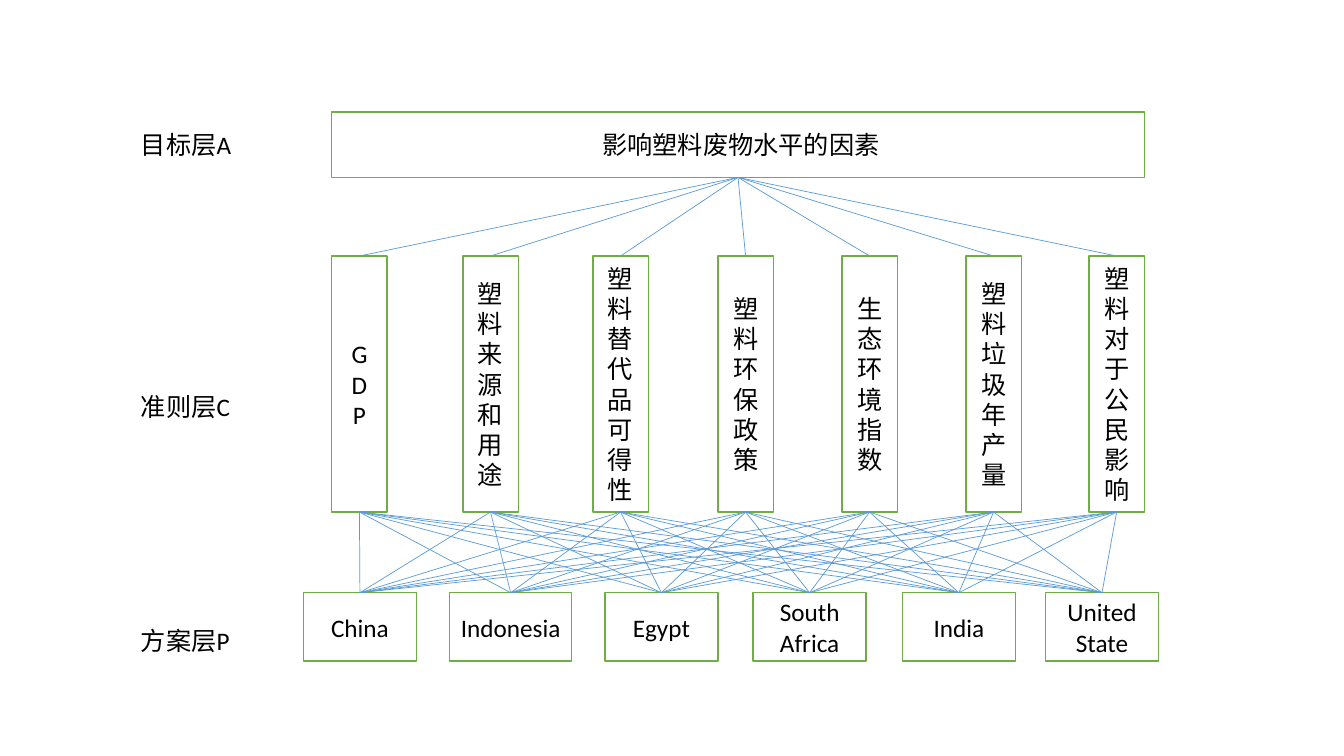
"""Build a three-layer hierarchy slide on the factors behind plastic waste."""
import pptx
import pptx.util
import pptx.dml.color
import pptx.enum.shapes
import pptx.enum.text
from lxml import etree
from pptx.oxml.ns import qn

Inches = pptx.util.Inches
Pt = pptx.util.Pt
RGBColor = pptx.dml.color.RGBColor

GREEN = RGBColor(0x70, 0xAD, 0x47)
BLUE = RGBColor(0x5B, 0x9B, 0xD5)
WHITE = RGBColor(0xFF, 0xFF, 0xFF)
BLACK = RGBColor(0x00, 0x00, 0x00)
FONT = "Calibri"
BOTTOM, TOP = 2, 0

GOAL = " 影响塑料废物水平的因素"
CRITERIA = [
    (3.29, ["G", "D", "P"]),
    (4.59, ["塑料来源和用途"]),
    (5.88, ["塑料替代品可得性"]),
    (7.12, ["塑料环保政策"]),
    (8.35, ["生态环境指数"]),
    (9.58, ["塑料垃圾年产量"]),
    (10.8, ["塑料对于公民影响"]),
]
COUNTRIES = [
    (3.01, 1.12, "China"),
    (4.46, 1.21, "Indonesia"),
    (6.0, 1.12, "Egypt"),
    (7.47, 1.12, "South Africa"),
    (8.95, 1.12, "India"),
    (10.37, 1.12, "United State"),
]
LAYER_LABELS = [
    (1.23, 1.15, "目标层A"),
    (3.83, 1.39, "准则层C"),
    (6.15, 1.86, "方案层P"),
]


def write(frame, lines, align):
    frame.word_wrap = True
    for index, line in enumerate(lines):
        paragraph = frame.paragraphs[0] if index == 0 else frame.add_paragraph()
        paragraph.alignment = align
        run = paragraph.add_run()
        run.text = line
        run.font.size = Pt(18)
        run.font.name = FONT
        run.font.color.rgb = BLACK


def add_box(slide, left, top, width, height, lines):
    box = slide.shapes.add_shape(
        pptx.enum.shapes.MSO_SHAPE.RECTANGLE,
        Inches(left), Inches(top), Inches(width), Inches(height))
    box.shadow.inherit = False
    box.fill.solid()
    box.fill.fore_color.rgb = WHITE
    box.line.color.rgb = GREEN
    box.line.width = Pt(1)
    box.text_frame.vertical_anchor = pptx.enum.text.MSO_ANCHOR.MIDDLE
    write(box.text_frame, lines, pptx.enum.text.PP_ALIGN.CENTER)
    return box


def link(slide, upper, lower):
    line = slide.shapes.add_connector(
        pptx.enum.shapes.MSO_CONNECTOR.STRAIGHT, 0, 0, 0, 0)
    line.begin_connect(upper, BOTTOM)
    line.end_connect(lower, TOP)
    line.line.color.rgb = BLUE
    line.line.width = Pt(0.5)
    etree.SubElement(line.element.spPr, qn("a:effectLst"))


def main():
    deck = pptx.Presentation()
    deck.slide_width = Inches(13.33)
    deck.slide_height = Inches(7.5)
    slide = deck.slides.add_slide(deck.slide_layouts.get_by_name("Blank"))

    goal = add_box(slide, 3.29, 1.11, 8.06, 0.65, [GOAL])
    criteria = [add_box(slide, left, 2.54, 0.55, 2.54, lines)
                for left, lines in CRITERIA]
    countries = [add_box(slide, left, 5.88, width, 0.68, [name])
                 for left, width, name in COUNTRIES]

    for criterion in criteria:
        link(slide, goal, criterion)
        for country in countries:
            link(slide, criterion, country)

    for top, width, name in LAYER_LABELS:
        label = slide.shapes.add_textbox(
            Inches(1.3), Inches(top), Inches(width), Inches(0.4))
        write(label.text_frame, [name], pptx.enum.text.PP_ALIGN.LEFT)

    deck.save("out.pptx")


if __name__ == "__main__":
    main()
